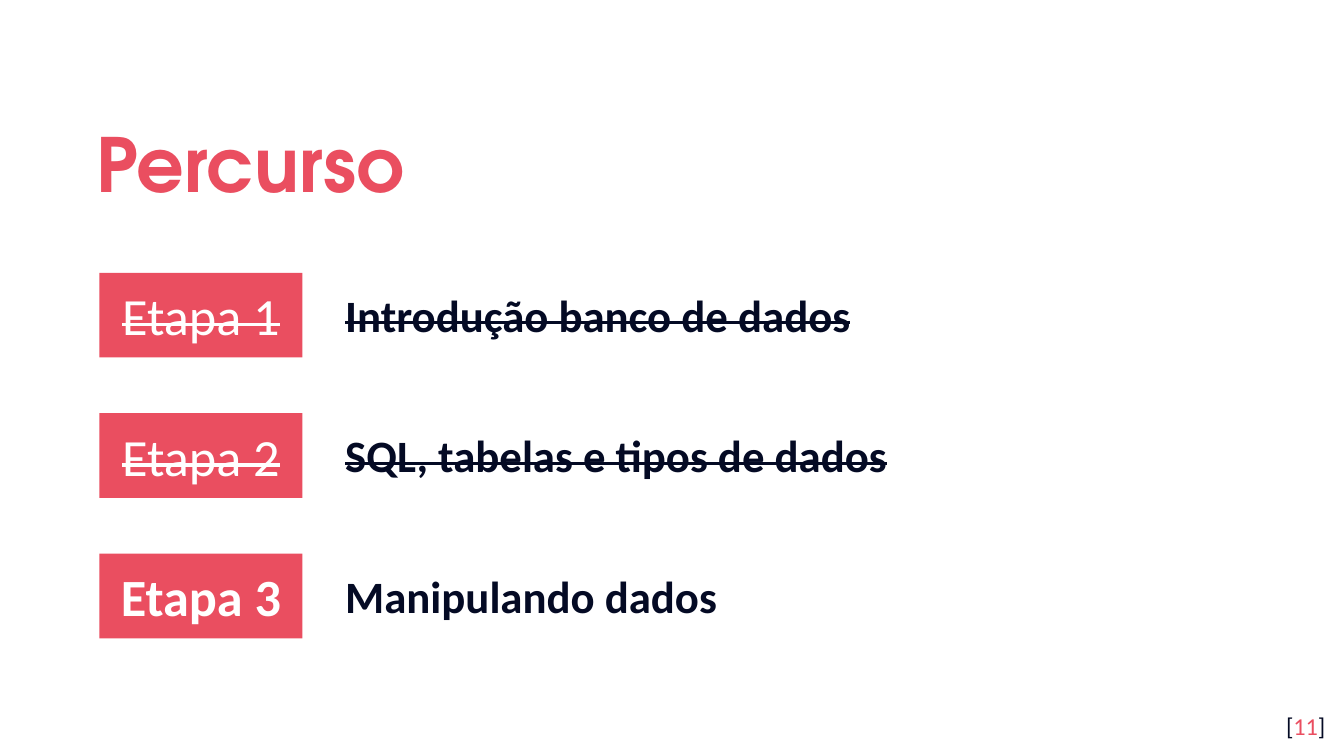
from pptx import Presentation
from pptx.dml.color import RGBColor
from pptx.enum.shapes import MSO_SHAPE
from pptx.enum.text import MSO_ANCHOR, PP_ALIGN
from pptx.util import Inches, Pt

COLORS = {"accent": "EA4E60", "ink": "040A24", "white": "FFFFFF"}
TITLE_FONT = "TeX Gyre Adventor"
BODY_FONT = "Calibri"

STAGES = [
    ("Etapa 1", "Introdução banco de dados", 6.75, True),
    ("Etapa 2", "SQL, tabelas e tipos de dados", 7.1, True),
    ("Etapa 3", "Manipulando dados", 6.75, False),
]
FIRST_TOP = 2.03
LAST_TOP = 4.12
ROW_STEP = (LAST_TOP - FIRST_TOP) / (len(STAGES) - 1)


def color(name):
    return RGBColor.from_string(COLORS[name])


def style(p, size, color_name, bold=False, name=BODY_FONT):
    p.font.name = name
    p.font.size = Pt(size)
    p.font.bold = bold
    p.font.color.rgb = color(color_name)


def set_frame(tf, anchor, inset_y):
    tf.word_wrap = True
    tf.vertical_anchor = anchor
    tf.margin_left = tf.margin_right = Inches(0.1)
    tf.margin_top = tf.margin_bottom = Inches(inset_y)
    return tf.paragraphs[0]


def add_text(s, left, top, width, height, anchor=MSO_ANCHOR.TOP, inset_y=0.1):
    box = s.shapes.add_textbox(Inches(left), Inches(top), Inches(width), Inches(height))
    return set_frame(box.text_frame, anchor, inset_y)


def add_run(p, text, strike=False):
    r = p.add_run()
    r.text = text
    if strike:
        r._r.get_or_add_rPr().set("strike", "sngStrike")
    return r


def set_hanging_indent(p, indent):
    pPr = p._p.get_or_add_pPr()
    pPr.set("marL", str(Inches(indent)))
    pPr.set("indent", str(-Inches(indent)))


def add_title(s, text):
    p = add_text(s, 0.62, 0.7, 8.1, 0.92, MSO_ANCHOR.MIDDLE)
    p.line_spacing = 1.15
    style(p, 40, "accent", True, TITLE_FONT)
    add_run(p, text)


def add_label(s, top, text, done):
    sp = s.shapes.add_shape(
        MSO_SHAPE.RECTANGLE, Inches(0.74), Inches(top), Inches(1.51), Inches(0.63)
    )
    sp.shadow.inherit = False
    sp.fill.solid()
    sp.fill.fore_color.rgb = color("accent")
    sp.line.fill.background()
    p = set_frame(sp.text_frame, MSO_ANCHOR.MIDDLE, 0.1)
    p.alignment = PP_ALIGN.CENTER
    style(p, 28, "white", not done)
    add_run(p, text, done)


def add_topic(s, top, width, text, done):
    p = add_text(s, 2.47, top, width, 0.5, inset_y=0.05)
    set_hanging_indent(p, 0.5)
    style(p, 24, "ink", True)
    add_run(p, text, done)


def add_page_number(s, number):
    p = add_text(s, 9.36, 5.19, 0.6, 0.43)
    p.alignment = PP_ALIGN.RIGHT
    style(p, 13, "ink")
    add_run(p, "[")
    add_run(p, number).font.color.rgb = color("accent")
    add_run(p, "]")


def main():
    prs = Presentation()
    prs.slide_width = Inches(10)
    prs.slide_height = Inches(10 * 9 / 16)
    s = prs.slides.add_slide(prs.slide_layouts[6])
    add_title(s, "Percurso")
    for i, (label, topic, width, done) in enumerate(STAGES):
        top = FIRST_TOP + i * ROW_STEP
        add_label(s, top, label, done)
        add_topic(s, top + 0.06, width, topic, done)
    add_page_number(s, "11")
    prs.save("out.pptx")


if __name__ == "__main__":
    main()
